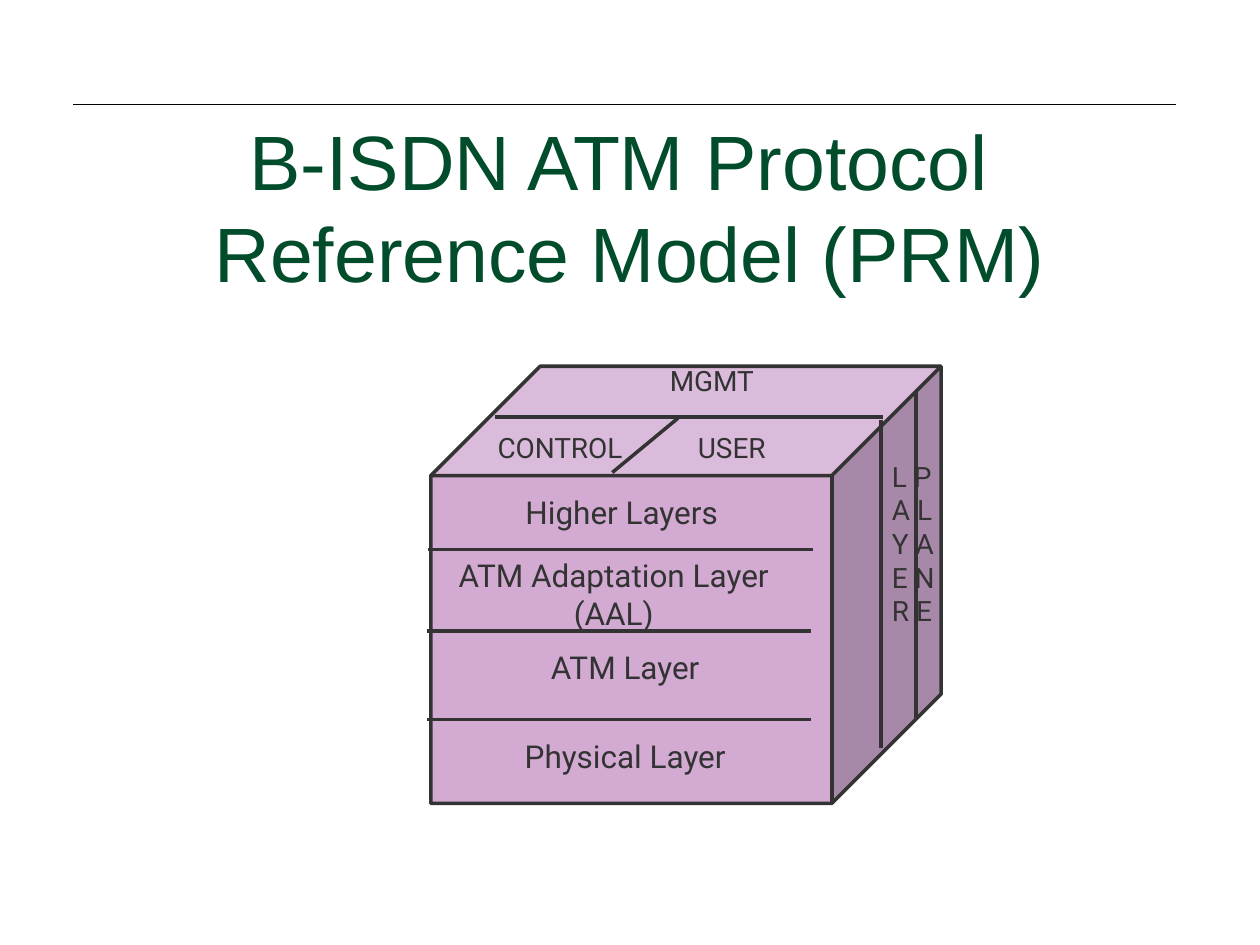
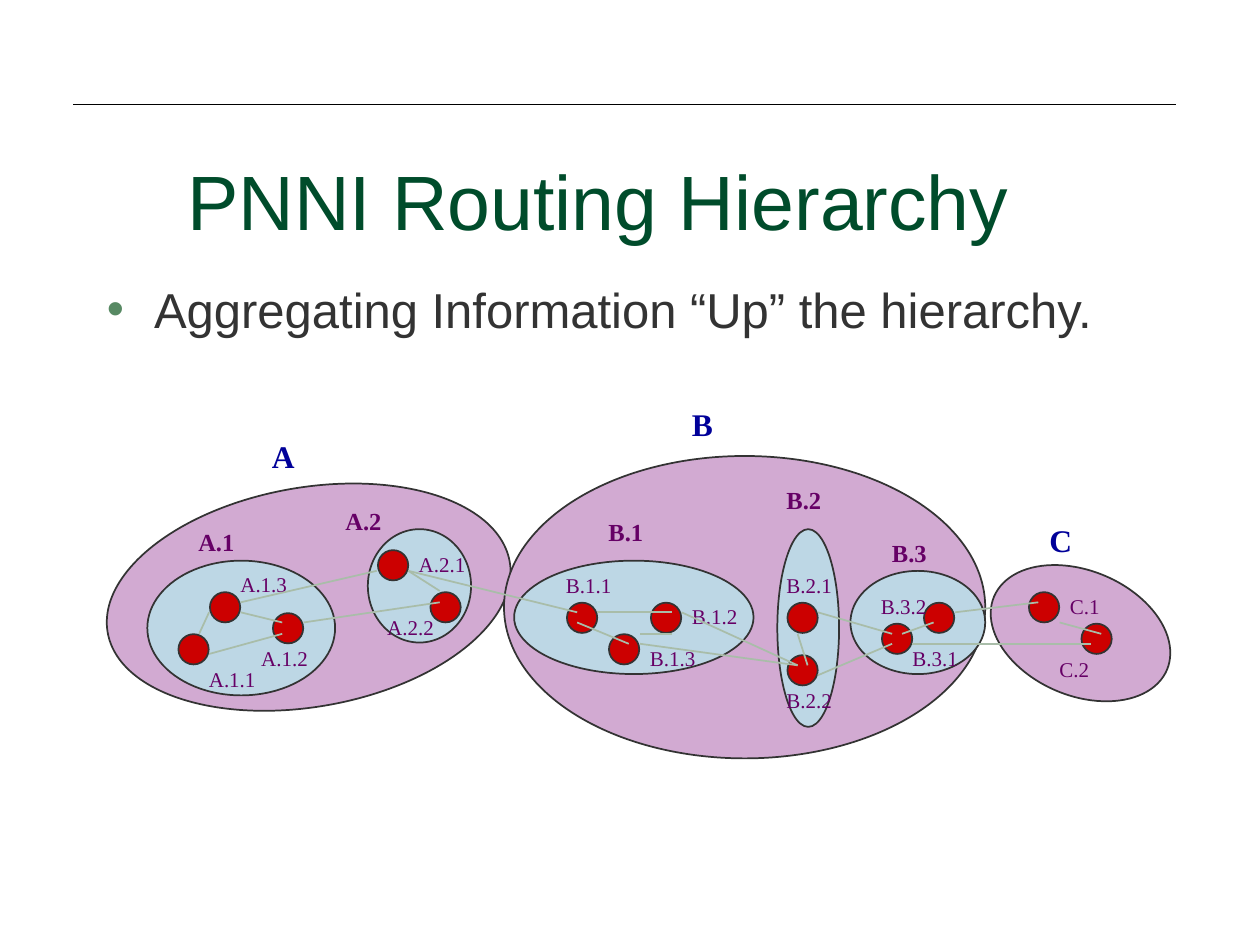
import pptx
import pptx.dml.color
import pptx.enum.shapes
import pptx.enum.text
import pptx.oxml.ns
import pptx.util
from lxml import etree

Pt = pptx.util.Pt
SHAPES = pptx.enum.shapes.MSO_SHAPE
ALIGN = pptx.enum.text.PP_ALIGN
ANCHOR = pptx.enum.text.MSO_ANCHOR

# Shared palette and fonts
GREEN, BULLET_GREEN, INK, RULE = "004C2B", "578963", "333333", "000000"
LILAC, PALE_BLUE, RED, LINK = "D2AAD2", "BDD7E5", "CC0000", "A9BDA9"
PURPLE, NAVY = "660066", "000099"
SANS, DIAGRAM, SERIF = "Arial", "Roboto", "Times New Roman"


def rgb(value):
    return pptx.dml.color.RGBColor.from_string(value)


def add_line(slide, start, end, color, weight):
    line = slide.shapes.add_connector(
        pptx.enum.shapes.MSO_CONNECTOR.STRAIGHT, *map(Pt, start + end))
    line.line.color.rgb = rgb(color)
    line.line.width = Pt(weight)
    etree.SubElement(line._element.spPr, pptx.oxml.ns.qn("a:effectLst"))


def add_solid(slide, kind, box, fill, weight=1, rotation=0):
    solid = slide.shapes.add_shape(kind, *map(Pt, box))
    solid.shadow.inherit = False
    solid.fill.solid()
    solid.fill.fore_color.rgb = rgb(fill)
    solid.line.color.rgb = rgb(INK)
    solid.line.width = Pt(weight)
    solid.rotation = rotation


def add_text(slide, text, box, size, font, color, bold=False,
             align=ALIGN.LEFT, wrap=False, anchor=ANCHOR.TOP):
    frame = slide.shapes.add_textbox(*map(Pt, box)).text_frame
    frame.word_wrap = wrap
    frame.vertical_anchor = anchor
    frame.text = text
    for paragraph in frame.paragraphs:
        paragraph.alignment = align
        for run in paragraph.runs:
            run.font.size = Pt(size)
            run.font.name = font
            run.font.bold = bold
            run.font.color.rgb = rgb(color)
    return frame


def add_bullet(paragraph, indent):
    properties = paragraph._p.get_or_add_pPr()
    properties.set("marL", str(Pt(indent)))
    properties.set("indent", str(-Pt(indent)))
    color = etree.SubElement(properties, pptx.oxml.ns.qn("a:buClr"))
    etree.SubElement(color, pptx.oxml.ns.qn("a:srgbClr"), val=BULLET_GREEN)
    etree.SubElement(properties, pptx.oxml.ns.qn("a:buFont"), typeface=SANS)
    etree.SubElement(properties, pptx.oxml.ns.qn("a:buChar"), char="•")


def add_tab_stop(paragraph, position):
    properties = paragraph._p.get_or_add_pPr()
    stops = etree.SubElement(properties, pptx.oxml.ns.qn("a:tabLst"))
    etree.SubElement(stops, pptx.oxml.ns.qn("a:tab"),
                     pos=str(Pt(position)), algn="l")


def add_titled_slide(deck, title, title_box):
    slide = deck.slides.add_slide(deck.slide_layouts[6])
    add_line(slide, (42, 59.8), (672, 59.8), RULE, 0.75)
    add_text(slide, title, title_box, 44, SANS, GREEN, align=ALIGN.CENTER,
             wrap=True, anchor=ANCHOR.BOTTOM)
    return slide


def build_reference_model(deck):
    slide = add_titled_slide(
        deck, "B-ISDN ATM Protocol \vReference Model (PRM)", (54, 84, 612, 90))
    add_solid(slide, SHAPES.CUBE, (246.2, 209.3, 291.6, 249.8), LILAC, 2)

    # Dividers on the front, side and top faces
    dividers = [
        ((244.8, 313.9), (464.4, 313.9)), ((244.1, 360.7), (463.7, 360.7)),
        ((244.1, 411.1), (463.7, 411.1)),
        ((523.4, 223.2), (523.4, 410.4)), ((503.3, 239.8), (503.3, 427.7)),
        ((504.7, 238.3), (283, 238.3)), ((387.4, 239), (349.9, 270)),
    ]
    for start, end in dividers:
        add_line(slide, start, end, INK, 2)

    # Protocol layers on the front face
    layers = [
        ("Higher Layers", 249.8, 278.3, 28.8),
        ("ATM Adaptation Layer\n(AAL)", 245.2, 314.3, 50.4),
        ("ATM Layer", 251.8, 367, 28.8),
        ("Physical Layer", 251.8, 417.6, 28.8),
    ]
    for name, left, top, height in layers:
        add_text(slide, name, (left, top, 211, height), 18, DIAGRAM, INK,
                 align=ALIGN.CENTER, wrap=True)

    # Planes on the top face: management behind control and user
    planes = add_text(slide, "MGMT\nCONTROL\tUSER", (277.2, 204.2, 176, 64.8),
                      16, DIAGRAM, INK, wrap=True)
    management, control_and_user = planes.paragraphs
    management._p.get_or_add_pPr().set("marL", str(Pt(98.5)))
    control_and_user.space_before = Pt(19.2)
    add_tab_stop(control_and_user, 114.5)

    # Layer and plane management, read downwards on the side face
    side = "\n".join(map(" ".join, zip("LAYER", "PLANE")))
    add_text(slide, side, (502.6, 259, 39.6, 103), 16, DIAGRAM, INK)


def build_routing_hierarchy(deck):
    slide = add_titled_slide(deck, "PNNI Routing Hierarchy", (36, 96, 612, 48))
    point = add_text(slide, "Aggregating Information “Up” the hierarchy.",
                     (54, 156, 612, 324), 28, SANS, INK, wrap=True)
    add_bullet(point.paragraphs[0], 27)

    # Areas: outline, rotation
    areas = [((59.8, 278.6, 233.3, 125.3), 350), ((288, 260.6, 275, 172.8), 0),
             ((563.8, 326.2, 107.3, 71.3), 23)]
    for outline, rotation in areas:
        add_solid(slide, SHAPES.OVAL, outline, LILAC, rotation=rotation)

    # Peer groups inside the areas
    peer_groups = [
        (84.2, 320.4, 107.3, 77), (210.2, 302.4, 59, 64.8),
        (293.8, 320.4, 136.8, 64.8), (444.2, 302.4, 35.3, 113),
        (486, 326.2, 77, 59),
    ]
    for outline in peer_groups:
        add_solid(slide, SHAPES.OVAL, outline, PALE_BLUE)

    # Switches: name, node corner, label corner
    switches = [
        ("A.1.3", (120, 338.4), (130.3, 323.3)),
        ("A.1.2", (156, 350.4), (142.2, 365.4)),
        ("A.1.1", (102, 362.4), (112.3, 377.3)),
        ("A.2.1", (216, 314.4), (232.2, 311.8)),
        ("A.2.2", (246, 338.4), (214.2, 347.8)),
        ("B.1.1", (324, 344.4), (316.3, 323.5)),
        ("B.1.2", (372, 344.4), (388.3, 341.3)),
        ("B.1.3", (348, 362.4), (364.3, 365.4)),
        ("B.2.1", (450, 344.4), (442.3, 323.5)),
        ("B.2.2", (450, 374.4), (442.3, 389.5)),
        ("B.3.2", (528, 344.4), (496.3, 335.5)),
        ("B.3.1", (504, 356.4), (514.3, 365.4)),
        ("C.1", (588, 338.4), (604.3, 335.5)),
        ("C.2", (618, 356.4), (598.3, 371.5)),
    ]
    for _, node, _ in switches:
        add_solid(slide, SHAPES.OVAL, node + (17.3, 17.3), RED)
    for name, _, corner in switches:
        width = 42 if len(name) == 5 else 32
        add_text(slide, name, corner + (width, 21.6), 12, SERIF, PURPLE)

    # Links between switches
    links = [
        ((119.5, 349.9), (113.8, 362.2)), ((137.5, 349.9), (161.3, 355.7)),
        ((119.5, 373.7), (161.3, 362.2)), ((137.5, 344.2), (215.3, 326.2)),
        ((173.5, 355.7), (251.3, 344.2)), ((233.3, 326.2), (251.3, 337.7)),
        ((233.3, 326.2), (329.8, 349.9)), ((341.3, 349.9), (383.8, 349.9)),
        ((383.8, 362.2), (365.8, 362.2)), ((329.8, 355.7), (359.3, 367.9)),
        ((389.5, 349.9), (455.8, 380.2)), ((365.8, 367.9), (455.8, 380.2)),
        ((455.8, 362.2), (461.5, 380.2)), ((467.3, 349.9), (509.8, 362.2)),
        ((467.3, 385.9), (509.8, 367.9)), ((533.5, 355.7), (515.5, 362.2)),
        ((545.8, 349.9), (593.3, 344.2)), ((521.3, 367.9), (623.5, 367.9)),
        ((605.5, 355.7), (629.3, 362.2)),
    ]
    for start, end in links:
        add_line(slide, start, end, LINK, 1)

    # Names of the peer groups and of the areas
    group_names = [("A.1", 106.2, 297.4), ("A.2", 190.3, 285.8),
                   ("B.1", 340.6, 291.8), ("B.2", 442.3, 273.6),
                   ("B.3", 502.6, 303.8)]
    for name, left, top in group_names:
        add_text(slide, name, (left, top, 35.3, 23.8), 14, SERIF, PURPLE, True)
    area_names = [("A", 148.3, 246.2), ("B", 388.3, 228.2), ("C", 592.6, 294)]
    for name, left, top in area_names:
        add_text(slide, name, (left, top, 27.4, 28.8), 18, SERIF, NAVY, True)


def main():
    deck = pptx.Presentation()
    deck.slide_width, deck.slide_height = Pt(720), Pt(540)
    build_reference_model(deck)
    build_routing_hierarchy(deck)
    deck.save("out.pptx")


if __name__ == "__main__":
    main()
